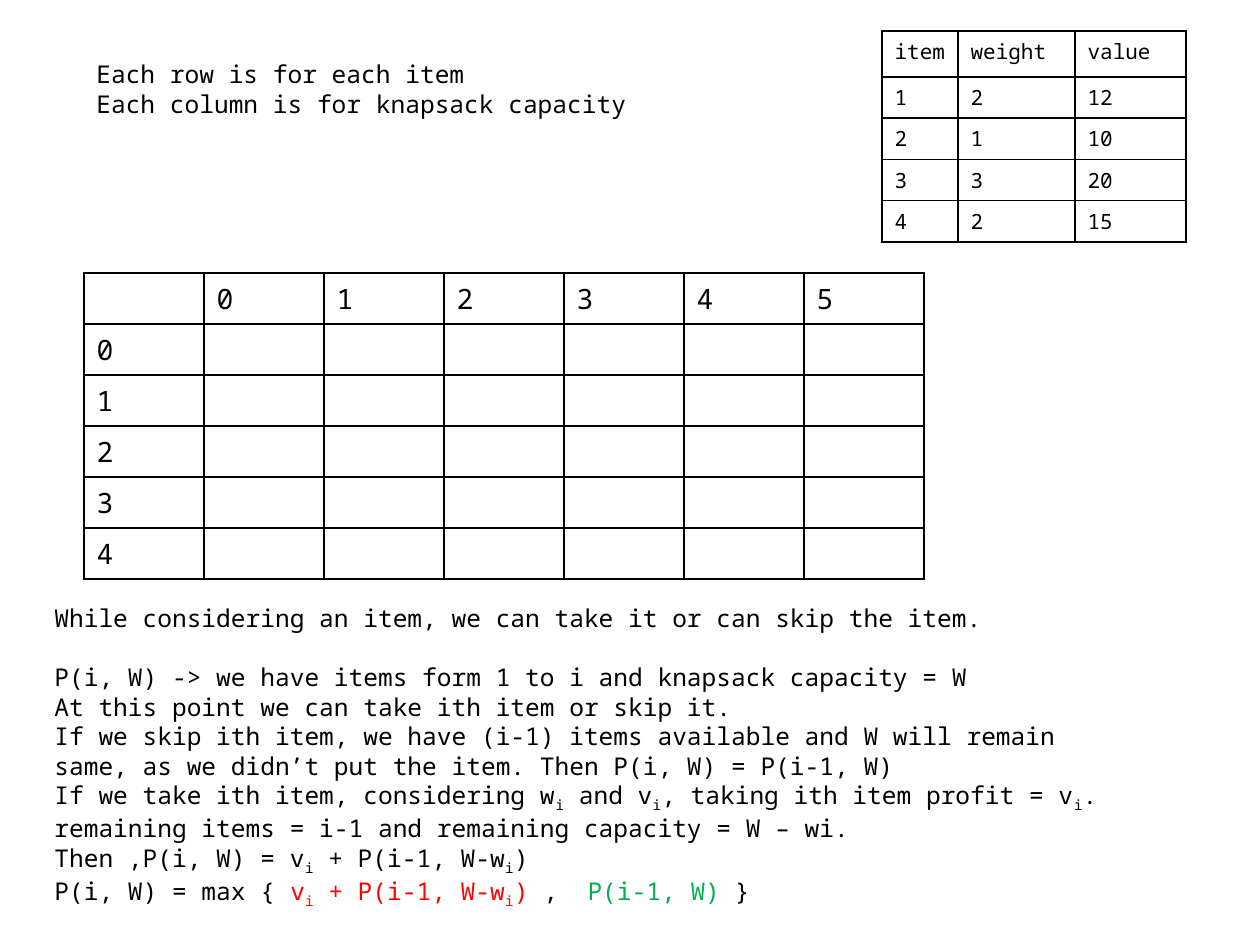
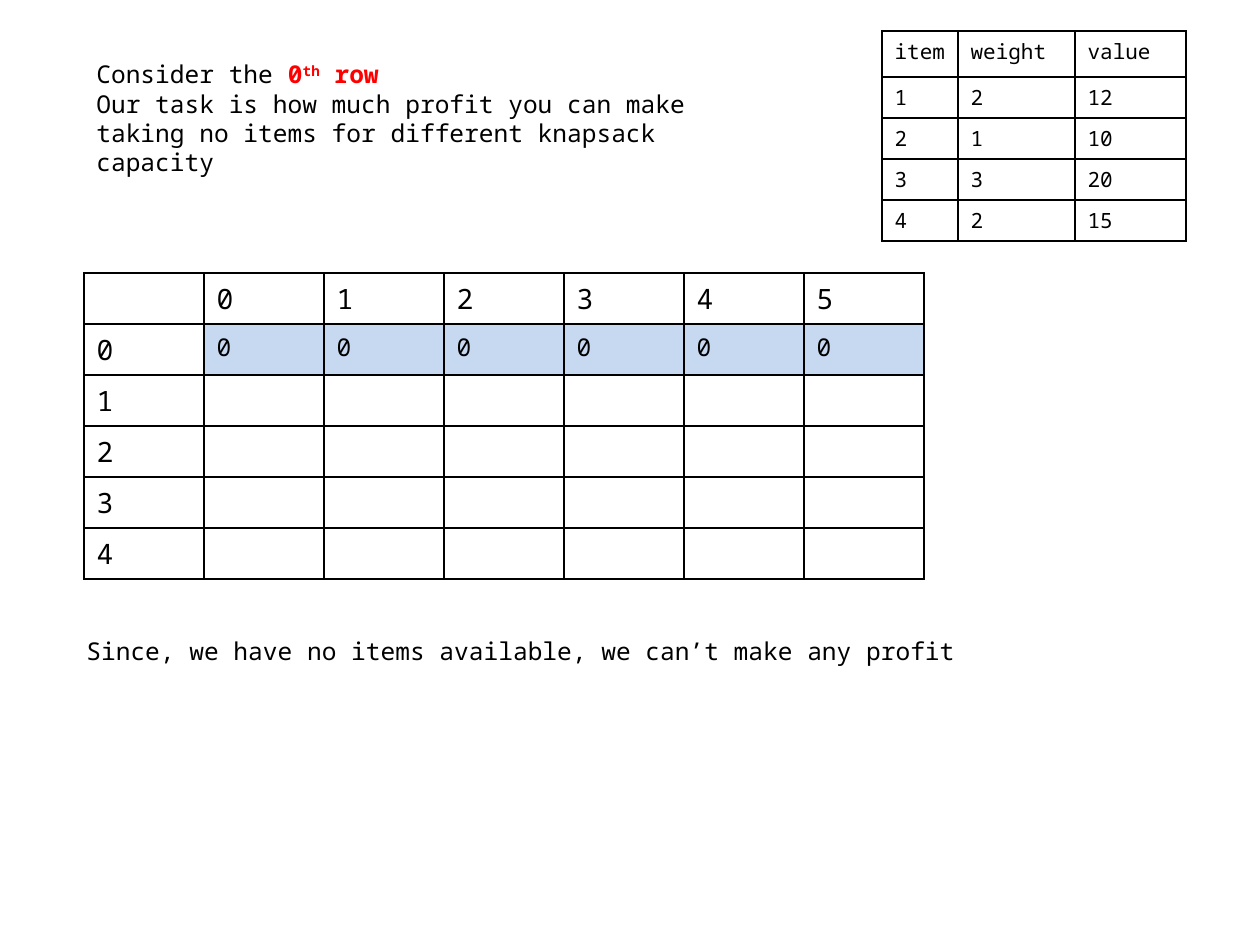
from lxml import etree
from pptx import Presentation
from pptx.dml.color import RGBColor
from pptx.enum.text import MSO_AUTO_SIZE
from pptx.oxml.ns import qn
from pptx.util import Pt

FIT_TEXT = MSO_AUTO_SIZE.SHAPE_TO_FIT_TEXT
PX = 914400 / 126
FONT = "Noto Sans Mono"
BLACK, RED, GREEN, BLUE = "000000", "FF0000", "00B050", "C6D9F1"
SUB, SUPER = -25, 30
BODY_SIZE = 14
BLANK_LINE = Pt(17)


def add_run(paragraph, text, size, colour=BLACK, baseline=0, bold=False):
    run = paragraph.add_run()
    run.text = text
    run.font.name = FONT
    run.font.size = Pt(size)
    run.font.bold = bold
    run.font.color.rgb = RGBColor.from_string(colour)
    if baseline:
        run._r.get_or_add_rPr().set("baseline", str(baseline * 1000))


def add_table(slide, left, top, widths, heights, rows, size, filled_row=None):
    frame = slide.shapes.add_table(
        len(heights), len(widths), round(left * PX), round(top * PX),
        round(sum(widths) * PX), round(sum(heights) * PX))
    table = frame.table
    table.first_row = table.horz_banding = False
    for column, width in zip(table.columns, widths):
        column.width = round(width * PX)
    for row, height in zip(table.rows, heights):
        row.height = round(height * PX)
    for row_index, values in enumerate(rows):
        for column_index, value in enumerate(values):
            cell = table.cell(row_index, column_index)
            properties = cell._tc.get_or_add_tcPr()
            for side in ("lnL", "lnR", "lnT", "lnB"):
                border = etree.SubElement(properties, qn("a:" + side), w=str(Pt(1)))
                fill = etree.SubElement(border, qn("a:solidFill"))
                etree.SubElement(fill, qn("a:srgbClr"), val=BLACK)
            highlighted = row_index == filled_row and column_index > 0
            if highlighted:
                cell.fill.solid()
                cell.fill.fore_color.rgb = RGBColor.from_string(BLUE)
            else:
                cell.fill.background()
            paragraph = cell.text_frame.paragraphs[0]
            if value:
                add_run(paragraph, value, BODY_SIZE if highlighted else size)
            else:
                paragraph._p.get_or_add_endParaRPr().set("sz", str(BODY_SIZE * 100))


items = [
    ("item", "weight", "value"),
    ("1", "2", "12"),
    ("2", "1", "10"),
    ("3", "3", "20"),
    ("4", "2", "15"),
]
capacities = [str(capacity) for capacity in range(6)]
item_numbers = [str(number) for number in range(5)]

recurrence = [
    [("While considering an item, we can take it or can skip the item.",)],
    [("P(i, W) -> we have items form 1 to i and knapsack capacity = W",)],
    [("At this point we can take ith item or skip it.",)],
    [("If we skip ith item, we have (i-1) items available and W will remain same, "
      "as we didn’t put the item. Then P(i, W) = P(i-1, W)",)],
    [("If we take ith item, considering w",), ("i", BLACK, SUB), (" and v",),
     ("i", BLACK, SUB), (", taking ith item profit = v",), ("i", BLACK, SUB),
     (". remaining items = i-1 and remaining capacity = W – wi.",)],
    [("Then ,P(i, W) = v",), ("i", BLACK, SUB), (" + P(i-1, W-w",),
     ("i", BLACK, SUB), (")",)],
    [("P(i, W) = max { ",), ("v", RED), ("i", RED, SUB), (" + P(i-1, W-w", RED),
     ("i", RED, SUB), (") ", RED), (",  ",), ("P(i-1, W) ", GREEN), ("}",)],
]
table_meaning = [
    [("Each row is for each item",)],
    [("Each column is for knapsack capacity",)],
]
no_profit = [[("Since, we have no items available, we can’t make any profit",)]]
zeroth_row = [
    [("Consider the",), (" 0", RED, 0, True), ("th", RED, SUPER, True),
     (" row", RED, 0, True)],
    [("Our task is how much profit you can make taking no items for different "
      "knapsack capacity",)],
]

slides = [
    {"zero_row": [""] * 6, "filled_row": None, "texts": [
        (42, 597, 1092, 318, recurrence, 1),
        (84, 53, 714, 72, table_meaning, None)]},
    {"zero_row": ["0"] * 6, "filled_row": 1, "texts": [
        (74, 630, 1092, 42, no_profit, None),
        (84, 53, 714, 131, zeroth_row, None)]},
]

presentation = Presentation()
presentation.slide_width = round(1260 * PX)
presentation.slide_height = round(945 * PX)
blank_layout = presentation.slide_layouts[6]

for content in slides:
    slide = presentation.slides.add_slide(blank_layout)
    add_table(slide, 882, 31, [76, 117, 111], [46] + [41] * 4, items, 12)

    profits = [[""] + capacities]
    for number in item_numbers:
        cells = content["zero_row"] if number == "0" else [""] * 6
        profits.append([number] + cells)
    add_table(slide, 84, 273, [120] * 7, [51] * 6, profits, 16, content["filled_row"])

    for left, top, width, height, paragraphs, spaced_index in content["texts"]:
        box = slide.shapes.add_textbox(
            round(left * PX), round(top * PX), round(width * PX), round(height * PX))
        text_frame = box.text_frame
        text_frame.word_wrap = True
        text_frame.auto_size = FIT_TEXT
        for index, runs in enumerate(paragraphs):
            paragraph = text_frame.add_paragraph() if index else text_frame.paragraphs[0]
            if index == spaced_index:
                paragraph.space_before = BLANK_LINE
            for text, *style in runs:
                add_run(paragraph, text, BODY_SIZE, *style)

presentation.save("out.pptx")
